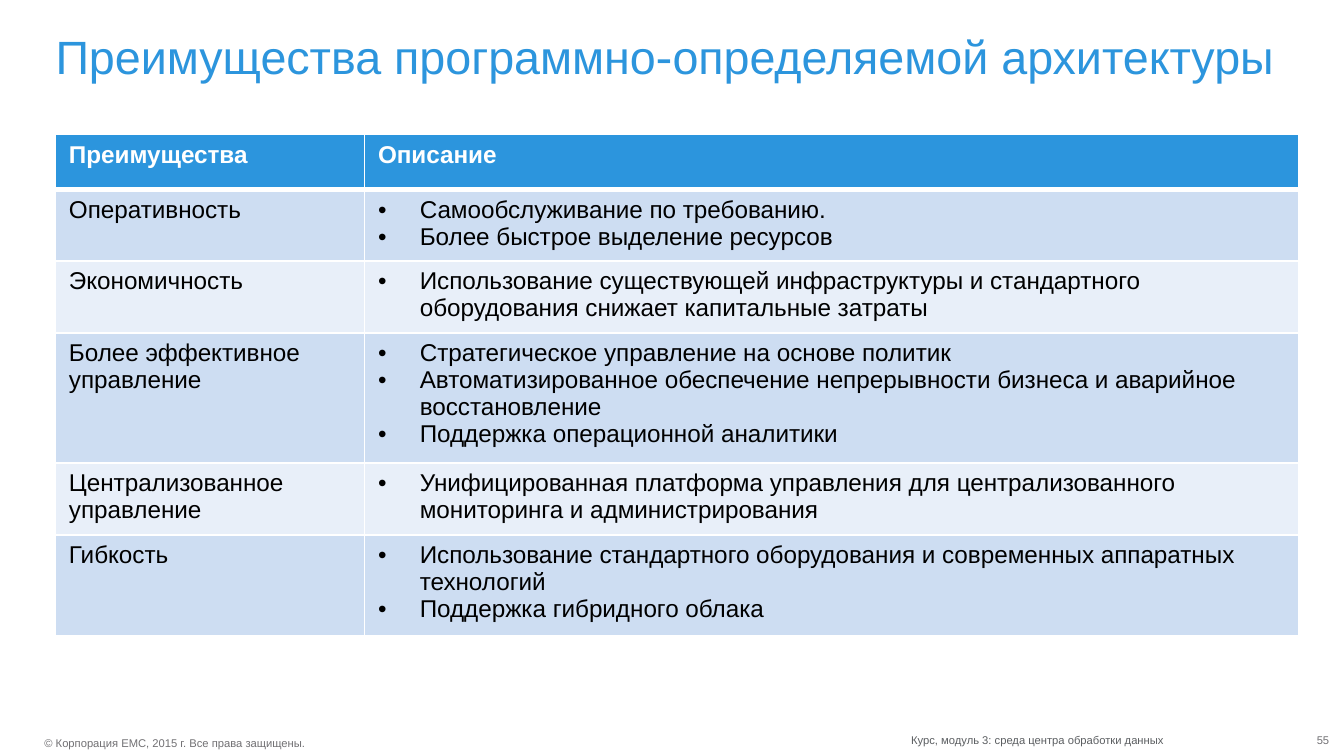
from lxml.etree import SubElement
from pptx import Presentation
from pptx.dml.color import RGBColor
from pptx.enum.text import MSO_ANCHOR, PP_ALIGN
from pptx.oxml.ns import qn
from pptx.util import Cm, Pt

COLORS = {
    "accent": "2C95DD",
    "white": "FFFFFF",
    "black": "000000",
    "band_dark": "CDDDF2",
    "band_light": "E8EFF9",
    "copyright": "717073",
    "module": "5B5E61",
    "number": "717074",
}
FRAME_FORMAT = {
    "margin_left": 0,
    "margin_top": 0,
    "margin_right": 0,
    "margin_bottom": 0,
    "vertical_anchor": MSO_ANCHOR.TOP,
}
HEADER = ("Преимущества", "Описание")
BENEFITS = [
    ("Оперативность", [
        "Самообслуживание по требованию.",
        "Более быстрое выделение ресурсов",
    ]),
    ("Экономичность", [
        "Использование существующей инфраструктуры и стандартного "
        "оборудования снижает капитальные затраты",
    ]),
    ("Более эффективное управление", [
        "Стратегическое управление на основе политик",
        "Автоматизированное обеспечение непрерывности бизнеса и аварийное восстановление",
        "Поддержка операционной аналитики",
    ]),
    ("Централизованное управление", [
        "Унифицированная платформа управления для централизованного "
        "мониторинга и администрирования",
    ]),
    ("Гибкость", [
        "Использование стандартного оборудования и современных аппаратных технологий",
        "Поддержка гибридного облака",
    ]),
]


def add_run(paragraph, text, size, color, bold=False, font_name="Arial"):
    run = paragraph.add_run()
    run.text = text
    font_format = {"name": font_name, "size": Pt(size), "bold": bold}
    for name, value in font_format.items():
        setattr(run.font, name, value)
    run.font.color.rgb = RGBColor.from_string(COLORS[color])


def add_text_box(slide, left, top, width, height, wrap=False):
    """Add a box without margins and return its first paragraph."""
    box = slide.shapes.add_textbox(Cm(left), Cm(top), Cm(width), Cm(height))
    frame = box.text_frame
    for name, value in FRAME_FORMAT.items():
        setattr(frame, name, value)
    frame.word_wrap = wrap
    return frame.paragraphs[0]


def add_title(slide):
    paragraph = add_text_box(slide, 1.05, 0.64, 23.5, 1.27, wrap=True)
    paragraph.line_spacing = 0.9
    add_run(paragraph, "Преимущества программно", 25, "accent")
    add_run(paragraph, "-", 25, "accent", font_name="DejaVu Sans")
    add_run(paragraph, "определяемой архитектуры", 25, "accent")


def add_footer(slide):
    paragraph = add_text_box(slide, 0.84, 13.92, 5, 0.25)
    add_run(paragraph, "© Корпорация EMC, 2015\u00a0г. Все права защищены.", 6, "copyright")
    paragraph = add_text_box(slide, 17.22, 13.87, 5, 0.25)
    add_run(paragraph, "Курс, модуль 3: среда центра обработки данных", 6, "module")
    paragraph = add_text_box(slide, 24.33, 13.87, 0.79, 0.25, wrap=True)
    paragraph.alignment = PP_ALIGN.RIGHT
    add_run(paragraph, "55", 6, "number")


def add_bullet(paragraph):
    properties = paragraph._p.get_or_add_pPr()
    properties.set("marL", str(Cm(0.79)))
    properties.set("indent", str(-Cm(0.79)))
    SubElement(properties, qn("a:buFont"), typeface="Arial")
    SubElement(properties, qn("a:buChar"), char="•")


def add_borders(cell, top=1, bottom=1):
    """Draw white cell borders; widths are in points."""
    properties = cell._tc.get_or_add_tcPr()
    widths = {"a:lnL": 1, "a:lnR": 1, "a:lnT": top, "a:lnB": bottom}
    for tag, width in widths.items():
        line = SubElement(properties, qn(tag), w=str(Pt(width)))
        fill = SubElement(line, qn("a:solidFill"))
        SubElement(fill, qn("a:srgbClr"), val=COLORS["white"])


def fill_cell(cell, lines, fill, color="black", bold=False, bullets=False):
    cell.fill.solid()
    cell.fill.fore_color.rgb = RGBColor.from_string(COLORS[fill])
    frame = cell.text_frame
    for index, line in enumerate(lines):
        paragraph = frame.add_paragraph() if index else frame.paragraphs[0]
        if bullets:
            add_bullet(paragraph)
        add_run(paragraph, line, 13, color, bold)


def add_benefits_table(slide):
    row_count = len(BENEFITS) + 1
    table = slide.shapes.add_table(
        row_count, 2, Cm(1.05), Cm(2.54), Cm(23.5), Cm(1.04 * row_count)
    ).table
    for column, width in zip(table.columns, (5.84, 17.66)):
        column.width = Cm(width)

    for column, heading in enumerate(HEADER):
        cell = table.cell(0, column)
        add_borders(cell, bottom=3)
        fill_cell(cell, [heading], "accent", "white", bold=True)

    for row, (benefit, details) in enumerate(BENEFITS, start=1):
        band = "band_dark" if row % 2 else "band_light"
        for column, lines in enumerate(([benefit], details)):
            cell = table.cell(row, column)
            add_borders(cell, top=3 if row == 1 else 1)
            fill_cell(cell, lines, band, bullets=column == 1)


def main():
    presentation = Presentation()
    presentation.slide_width = Cm(25.4)
    presentation.slide_height = Cm(14.29)
    slide = presentation.slides.add_slide(presentation.slide_layouts[6])
    add_title(slide)
    add_benefits_table(slide)
    add_footer(slide)
    presentation.save("out.pptx")


if __name__ == "__main__":
    main()
